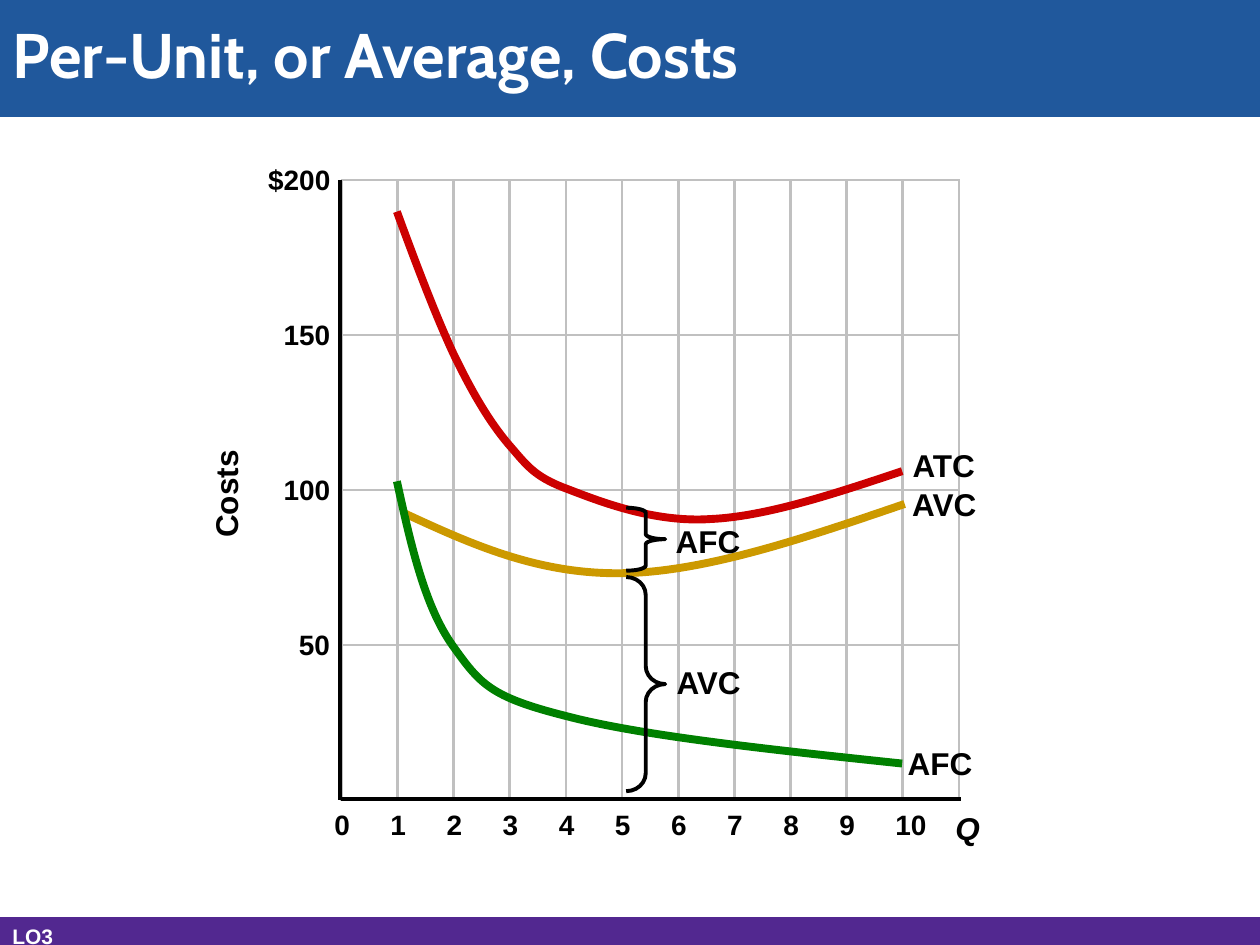
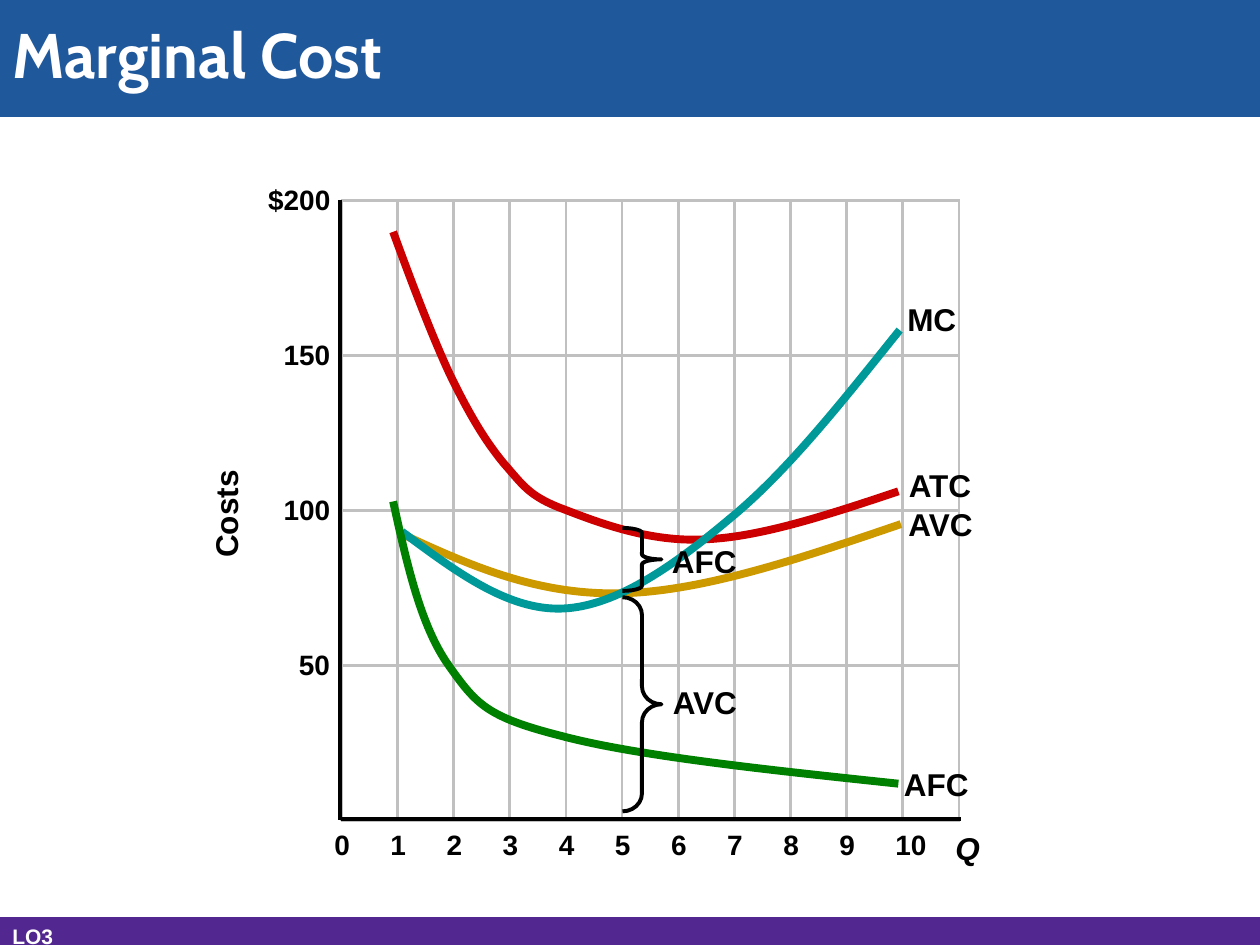
from dataclasses import dataclass

from lxml import etree
from pptx import Presentation
from pptx import util as u
from pptx.dml.color import RGBColor
from pptx.enum import shapes, text
from pptx.oxml import ns

COLORS = {
    "title_band": "20589C", "footer_band": "522890", "white": "FFFFFF",
    "ink": "000000", "grid": "C0C0C0",
    "AVC": "CC9900", "ATC": "CC0000", "MC": "009999", "AFC": "008000",
}
LEFT, RIGHT, TOP, BOTTOM = 2.71, 7.61, 1.43, 6.35
COLUMNS, ROWS = 11, 4
COLUMN_STEP = (RIGHT - LEFT) / COLUMNS
ROW_STEP = (BOTTOM - TOP) / ROWS
COST_TICKS = ["$200", "150", "100", "50"]
LABEL_HEIGHT = 0.4
TICK_HEIGHT = 0.37

Point = tuple[float, float]


@dataclass(frozen=True)
class Label:
    words: str
    x: float
    y: float
    width: float
    height: float = LABEL_HEIGHT
    size: int = 18
    color: str = "ink"
    font: str = "Arial"
    italic: bool = False
    rotation: int = 0
    spacing: float = 1.0
    wrap: bool = False
    align: text.PP_ALIGN = text.PP_ALIGN.CENTER


@dataclass(frozen=True)
class Curve:
    """A start point followed by Bezier points, three for each segment."""
    name: str
    points: list[Point]


@dataclass(frozen=True)
class Brace:
    y: float
    height: float
    curl: float
    label: Label


@dataclass(frozen=True)
class CostSlide:
    title: str
    curves: list[Curve]
    curve_labels: list[Label]
    grid_drop: float = 0.0
    curve_shift: float = 0.0


AVC = Curve("AVC", [(3.2, 4.07), (3.74, 4.32), (4.27, 4.56), (4.94, 4.55),
                    (5.6, 4.54), (6.39, 4.27), (7.18, 4)])
ATC = Curve("ATC", [(3.15, 1.68), (3.3, 2.09), (3.46, 2.51), (3.6, 2.81),
                    (3.75, 3.12), (3.88, 3.34), (4.03, 3.52),
                    (4.18, 3.69), (4.23, 3.78), (4.5, 3.88),
                    (4.76, 3.98), (5.19, 4.15), (5.64, 4.12),
                    (6.08, 4.1), (6.62, 3.92), (7.16, 3.74)])
MC = Curve("MC", [(3.22, 4.06), (3.64, 4.37), (4.06, 4.69), (4.5, 4.67),
                  (4.93, 4.65), (5.39, 4.32), (5.83, 3.95),
                  (6.28, 3.58), (6.72, 3.02), (7.17, 2.46)])
AFC = Curve("AFC", [(3.15, 3.82), (3.26, 4.32), (3.37, 4.81), (3.59, 5.12),
                    (3.81, 5.43), (3.89, 5.53), (4.48, 5.68),
                    (5.08, 5.84), (6.12, 5.95), (7.16, 6.06)])
AVERAGE_LABELS = [Label("AFC", 7.1, 5.86, 0.72), Label("ATC", 7.13, 3.49, 0.72),
                  Label("AVC", 7.13, 3.8, 0.73)]
BRACES = [
    Brace(4.58, 1.7, 0.46, Label("AVC", 5.26, 5.26, 0.73, 0.36, spacing=0.85)),
    Brace(4.03, 0.5, 0.13, Label("AFC", 5.26, 4.14, 0.72, 0.36, spacing=0.85)),
]
COST_SLIDES = [
    CostSlide("Per-Unit, or Average, Costs", [AVC, ATC, AFC], AVERAGE_LABELS),
    CostSlide("Marginal Cost", [AVC, ATC, MC, AFC],
              AVERAGE_LABELS + [Label("MC", 7.13, 2.17, 0.59)],
              grid_drop=0.16, curve_shift=-0.03),
]


def rgb(name: str) -> RGBColor:
    return RGBColor.from_string(COLORS[name])


def set_line(shape, color: str, points: float) -> None:
    shape.line.color.rgb = rgb(color)
    shape.line.width = u.Pt(points)


def add_band(slide, y: float, height: float, color: str) -> None:
    band = slide.shapes.add_shape(shapes.MSO_SHAPE.RECTANGLE, 0, u.Inches(y),
                                  u.Inches(10), u.Inches(height))
    band.shadow.inherit = False
    band.fill.solid()
    band.fill.fore_color.rgb = rgb(color)
    set_line(band, color, 0.75)


def add_label(slide, label: Label, dx: float = 0, dy: float = 0) -> None:
    box = slide.shapes.add_textbox(u.Inches(label.x + dx), u.Inches(label.y + dy),
                                   u.Inches(label.width), u.Inches(label.height))
    box.rotation = label.rotation
    frame_format = {
        "word_wrap": label.wrap,
        "vertical_anchor": text.MSO_ANCHOR.MIDDLE if label.wrap else text.MSO_ANCHOR.TOP,
        "auto_size": (text.MSO_AUTO_SIZE.NONE if label.wrap
                      else text.MSO_AUTO_SIZE.SHAPE_TO_FIT_TEXT),
    }
    paragraph = box.text_frame.paragraphs[0]
    paragraph_format = {"alignment": label.align, "line_spacing": label.spacing}
    run = paragraph.add_run()
    run.text = label.words
    font_format = {"name": label.font, "size": u.Pt(label.size),
                   "bold": True, "italic": label.italic}
    for target, values in ((box.text_frame, frame_format),
                           (paragraph, paragraph_format), (run.font, font_format)):
        for attribute, value in values.items():
            setattr(target, attribute, value)
    run.font.color.rgb = rgb(label.color)


def add_rule(slide, start: Point, end: Point, color: str, points: float) -> None:
    rule = slide.shapes.add_connector(shapes.MSO_CONNECTOR.STRAIGHT,
                                      *(u.Inches(v) for v in start + end))
    set_line(rule, color, points)
    etree.SubElement(rule._element.spPr, ns.qn("a:effectLst"))


def add_frame(slide, title: str) -> None:
    """Draw the title band, the footer band and their texts."""
    add_band(slide, 0, 0.92, "title_band")
    add_label(slide, Label(title, 0, 0, 10, 0.92, 36, "white", "Cabin",
                           spacing=0.9, wrap=True, align=text.PP_ALIGN.LEFT))
    add_band(slide, 7.28, 0.25, "footer_band")
    add_label(slide, Label("LO3", 0, 7.28, 0.53, 0.3, 12, "white",
                           align=text.PP_ALIGN.LEFT))


def add_grid(slide, drop: float) -> None:
    """Draw the grid, both axes and their labels."""
    top, bottom = TOP + drop, BOTTOM + drop
    for column in range(COLUMNS):
        width = 0.21 + 0.12 * len(str(column))
        add_label(slide, Label(str(column), LEFT + column * COLUMN_STEP - 0.16,
                               bottom + 0.01, width, TICK_HEIGHT, 16))
    for column in range(COLUMNS + 1):
        x = LEFT + column * COLUMN_STEP
        add_rule(slide, (x, top + 0.01), (x, bottom + 0.01), "grid", 1.5)
    for row in range(ROWS + 1):
        y = top + row * ROW_STEP
        add_rule(slide, (LEFT, y), (RIGHT + 0.01, y), "grid", 1.5)
    add_rule(slide, (LEFT, bottom - 0.01), (RIGHT + 0.02, bottom - 0.01), "ink", 2.25)
    add_rule(slide, (LEFT - 0.01, top), (LEFT - 0.01, bottom), "ink", 2.25)
    for row, cost in enumerate(COST_TICKS):
        width = 0.21 + 0.12 * len(cost)
        add_label(slide, Label(cost, LEFT + 0.01 - width, top + row * ROW_STEP - 0.19,
                               width, TICK_HEIGHT, 16))
    add_label(slide, Label("Costs", 1.34, 3.72, 0.9, rotation=270), dy=drop)
    add_label(slide, Label("Q", 7.48, 6.37, 0.4, italic=True), dy=drop)


def bend(outline) -> None:
    """Turn every three straight segments of the outline into one Bezier segment."""
    segments = list(outline._element.iter(ns.qn("a:lnTo")))
    for first in range(0, len(segments), 3):
        bezier = etree.Element(ns.qn("a:cubicBezTo"))
        segments[first].addprevious(bezier)
        for segment in segments[first:first + 3]:
            bezier.append(segment[0])
            segment.getparent().remove(segment)


def add_curve(slide, curve: Curve, dx: float, dy: float) -> None:
    places = [(u.Inches(x + dx), u.Inches(y + dy)) for x, y in curve.points]
    builder = slide.shapes.build_freeform(*places[0])
    builder.add_line_segments(places[1:], close=False)
    outline = builder.convert_to_shape()
    bend(outline)
    outline.shadow.inherit = False
    outline.fill.background()
    set_line(outline, curve.name, 4.5)


def add_brace(slide, brace: Brace, dx: float, dy: float) -> None:
    bracket = slide.shapes.add_shape(
        shapes.MSO_SHAPE.RIGHT_BRACE, u.Inches(4.97 + dx), u.Inches(brace.y + dy),
        u.Inches(0.31), u.Inches(brace.height))
    bracket.adjustments[0] = brace.curl
    bracket.shadow.inherit = False
    bracket.fill.background()
    set_line(bracket, "ink", 2.25)
    add_label(slide, brace.label, dx, dy)


def main() -> None:
    deck = Presentation()
    deck.slide_width, deck.slide_height = u.Inches(10), u.Inches(7.5)
    for cost_slide in COST_SLIDES:
        slide = deck.slides.add_slide(deck.slide_layouts[6])
        shift = (cost_slide.curve_shift, cost_slide.grid_drop)
        add_frame(slide, cost_slide.title)
        add_grid(slide, cost_slide.grid_drop)
        for curve in cost_slide.curves:
            add_curve(slide, curve, *shift)
        for label in cost_slide.curve_labels:
            add_label(slide, label, *shift)
        for brace in BRACES:
            add_brace(slide, brace, *shift)
    deck.save("out.pptx")


if __name__ == "__main__":
    main()
